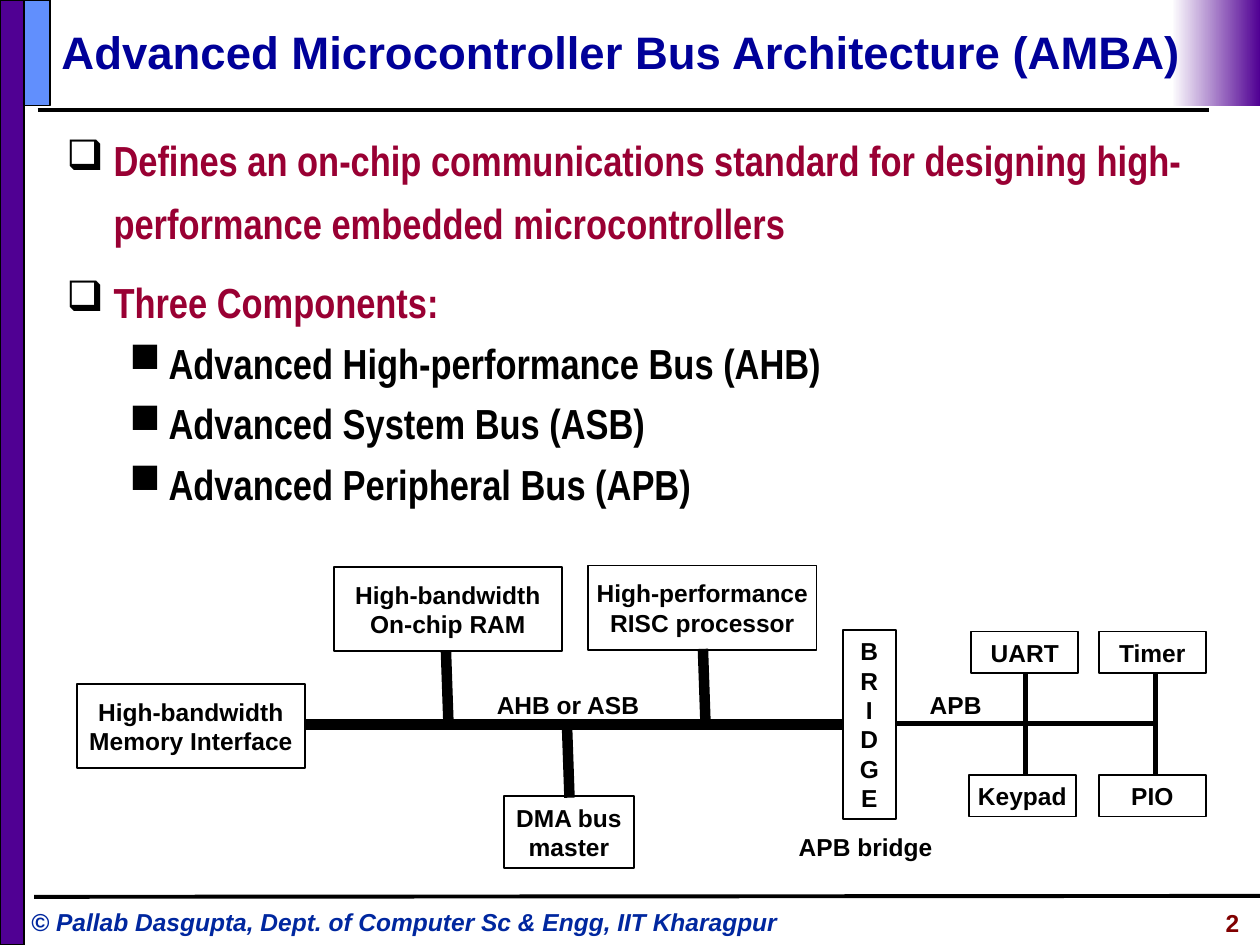
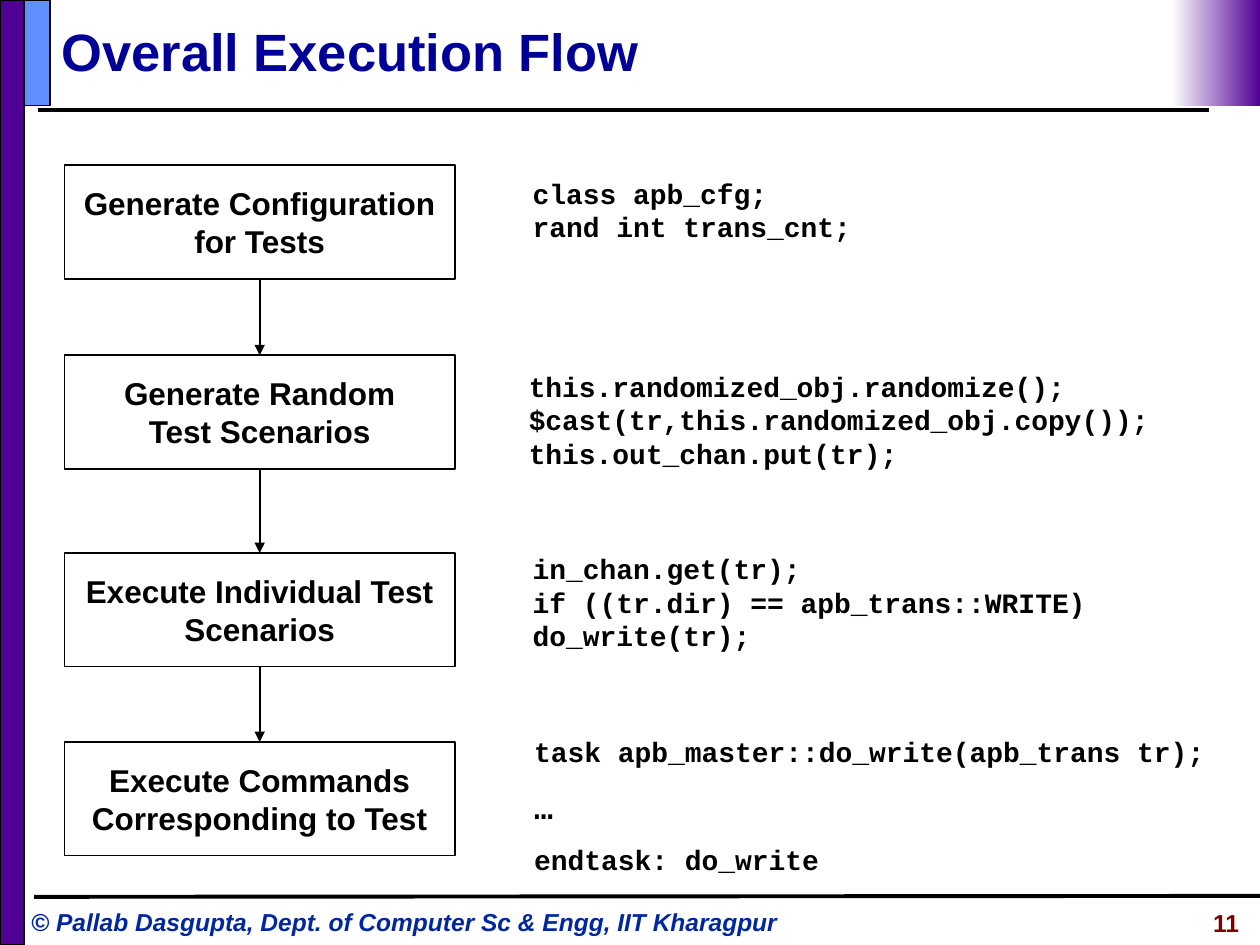
from dataclasses import dataclass

import lxml.etree
import pptx
import pptx.dml.color
import pptx.enum.shapes
import pptx.enum.text
import pptx.oxml.ns
import pptx.util

Cm = pptx.util.Cm
Pt = pptx.util.Pt
ALIGN = pptx.enum.text.PP_ALIGN
ANCHOR = pptx.enum.text.MSO_ANCHOR


@dataclass(frozen=True)
class Theme:
    black: str = "000000"
    white: str = "FFFFFF"
    purple: str = "500093"
    blue: str = "618FFD"
    title: str = "000099"
    topic: str = "990033"
    footer: str = "00279F"
    number: str = "800000"
    sans: str = "Arial"
    narrow: str = "Arial Narrow"
    mono: str = "Courier New"
    title_size: float = 30
    long_title_size: float = 26
    body_size: float = 24
    step_size: float = 18
    code_size: float = 16
    label_size: float = 14
    thin: float = 1
    rule: float = 2.25
    peripheral_bus: float = 3
    system_bus: float = 6


def rgb(value):
    return pptx.dml.color.RGBColor.from_string(value)


def add_xml(parent, tag, **attributes):
    return lxml.etree.SubElement(parent, pptx.oxml.ns.qn(tag), attributes)


class Deck:
    def __init__(self, theme):
        self.theme = theme
        self.presentation = pptx.Presentation()
        self.presentation.slide_width = Cm(25.4)
        self.presentation.slide_height = Cm(19.05)
        self.slide = None

    def start_slide(self, title, number, title_size):
        theme = self.theme
        layout = self.presentation.slide_layouts[6]
        self.slide = self.presentation.slides.add_slide(layout)
        self.line((0.76, 2.21), (24.38, 2.21), theme.rule)
        self.text(0.38, 18.16, 16.18, 0.86,
                  ["© Pallab Dasgupta, Dept. of Computer Sc & Engg, IIT Kharagpur"],
                  color=theme.footer, italic=True)
        self.box(0, 0, 0.48, 19.05, fill=theme.purple)
        self.line((0.69, 18.08), (25.4, 18.06), theme.rule)
        self.box(0.48, 0, 0.53, 2.13, fill=theme.blue)
        self.fade(23.62, 0, 1.78, 2.13)
        self.text(0.99, 0.25, 23.11, 1.55, [title], size=title_size,
                  color=theme.title, anchor=ANCHOR.MIDDLE)
        self.text(20.78, 18.19, 4.45, 0.89, [number], color=theme.number,
                  align=ALIGN.RIGHT)

    def style(self, paragraph, size=None, font=None, color=None, italic=False):
        paragraph.font.size = Pt(size or self.theme.label_size)
        paragraph.font.name = font or self.theme.sans
        paragraph.font.bold = True
        paragraph.font.italic = italic
        paragraph.font.color.rgb = rgb(color or self.theme.black)

    def paragraphs(self, frame, lines):
        for index, line in enumerate(lines):
            paragraph = frame.add_paragraph() if index else frame.paragraphs[0]
            paragraph.text = line
            yield paragraph

    def frame(self, left, top, width, height, wrap=True):
        frame = self.slide.shapes.add_textbox(
            Cm(left), Cm(top), Cm(width), Cm(height)).text_frame
        frame.word_wrap = wrap
        return frame

    def text(self, left, top, width, height, lines, align=ALIGN.LEFT,
             anchor=ANCHOR.TOP, wrap=True, **style):
        frame = self.frame(left, top, width, height, wrap)
        frame.vertical_anchor = anchor
        for paragraph in self.paragraphs(frame, lines):
            paragraph.alignment = align
            self.style(paragraph, **style)
        return frame

    def label(self, left, top, width, line):
        self.text(left, top, width, 0.86, [line], align=ALIGN.CENTER, wrap=False)

    def code(self, left, top, width, height, lines):
        return self.text(left, top, width, height, lines,
                         size=self.theme.code_size, font=self.theme.mono)

    def rectangle(self, left, top, width, height):
        shape = self.slide.shapes.add_shape(
            pptx.enum.shapes.MSO_SHAPE.RECTANGLE,
            Cm(left), Cm(top), Cm(width), Cm(height))
        shape.shadow.inherit = False
        return shape

    def box(self, left, top, width, height, lines=(), fill=None, size=None):
        shape = self.rectangle(left, top, width, height)
        if fill:
            shape.fill.solid()
            shape.fill.fore_color.rgb = rgb(fill)
        else:
            shape.fill.background()
        shape.line.color.rgb = rgb(self.theme.black)
        shape.line.width = Pt(self.theme.thin)
        shape.text_frame.word_wrap = False
        shape.text_frame.vertical_anchor = ANCHOR.MIDDLE
        for paragraph in self.paragraphs(shape.text_frame, lines):
            paragraph.alignment = ALIGN.CENTER
            self.style(paragraph, size=size)

    def fade(self, left, top, width, height):
        shape = self.rectangle(left, top, width, height)
        shape.line.fill.background()
        shape.fill.gradient()
        shape.fill.gradient_angle = 180
        ends = (self.theme.purple, self.theme.white)
        for position, (stop, color) in enumerate(zip(shape.fill.gradient_stops, ends)):
            stop.position = position
            stop.color.rgb = rgb(color)

    def line(self, start, end, width, arrow=False):
        connector = self.slide.shapes.add_connector(
            pptx.enum.shapes.MSO_CONNECTOR.STRAIGHT,
            *(Cm(value) for value in (*start, *end)))
        connector.line.color.rgb = rgb(self.theme.black)
        connector.line.width = Pt(width)
        if arrow:
            add_xml(connector.line._get_or_add_ln(), "a:tailEnd", type="triangle")
        add_xml(connector._element.spPr, "a:effectLst")

    def outline(self, left, top, width, height, items):
        theme = self.theme
        levels = (
            ("❑", 0.95, 0.95, 1.25, 9, theme.topic),
            ("■", 2.06, 0.79, 1.1, 3, theme.black),
        )
        frame = self.frame(left, top, width, height)
        lines = [line for _, line in items]
        for (level, _), paragraph in zip(items, self.paragraphs(frame, lines)):
            bullet, margin, hanging, spacing, before, color = levels[level]
            paragraph.level = level
            paragraph.line_spacing = spacing
            paragraph.space_before = Pt(before)
            properties = paragraph._p.get_or_add_pPr()
            properties.set("marL", str(Cm(margin)))
            properties.set("indent", str(-Cm(hanging)))
            add_xml(add_xml(properties, "a:buClr"), "a:srgbClr", val=theme.black)
            add_xml(properties, "a:buChar", char=bullet)
            self.style(paragraph, theme.body_size, theme.narrow, color)


def add_architecture(deck):
    theme = deck.theme
    deck.start_slide("Advanced Microcontroller Bus Architecture (AMBA)", "2",
                     theme.long_title_size)
    deck.outline(1.09, 2.34, 23.27, 8.08, [
        (0, "Defines an on-chip communications standard for designing "
            "high-performance embedded microcontrollers"),
        (0, "Three Components:"),
        (1, "Advanced High-performance Bus (AHB)"),
        (1, "Advanced System Bus (ASB)"),
        (1, "Advanced Peripheral Bus (APB)"),
    ])

    for left, top, lines in (
        (1.55, 13.79, ("High-bandwidth", "Memory Interface")),
        (6.73, 11.43, ("High-bandwidth", "On-chip RAM")),
        (11.86, 11.4, ("High-performance", "RISC processor")),
    ):
        deck.box(left, top, 4.6, 1.7, lines)
    deck.box(10.16, 16.05, 2.62, 1.45, ("DMA bus", "master"))
    deck.box(16.99, 12.7, 1.07, 3.81, "BRIDGE")
    for left, top, peripheral in (
        (19.58, 12.73, "UART"), (22.15, 12.73, "Timer"),
        (19.53, 15.62, "Keypad"), (22.15, 15.62, "PIO"),
    ):
        deck.box(left, top, 2.16, 0.84, [peripheral])

    deck.line((6.15, 14.6), (16.99, 14.6), theme.system_bus)
    for left, top in ((8.99, 13.13), (14.17, 13.08), (11.43, 14.63)):
        deck.line((left, top), (left + 0.05, top + 1.45), theme.system_bus)
    for left in (20.68, 23.29):
        deck.line((left, 13.59), (left, 15.62), theme.peripheral_bus)
    deck.line((18.06, 14.58), (23.29, 14.58), theme.peripheral_bus)

    deck.label(9.75, 13.79, 3.4, "AHB or ASB")
    deck.label(18.49, 13.79, 1.55, "APB")
    deck.label(15.85, 16.64, 3.2, "APB bridge")


def add_execution_flow(deck):
    theme = deck.theme
    deck.start_slide("Overall Execution Flow", "11", theme.title_size)
    step_left, step_width, step_height = 1.3, 7.87, 2.29
    steps = (
        (3.33, ("Generate Configuration", "for Tests")),
        (7.16, ("Generate Random", "Test Scenarios")),
        (11.15, ("Execute Individual Test", "Scenarios")),
        (14.96, ("Execute Commands", "Corresponding to Test")),
    )
    for top, lines in steps:
        deck.box(step_left, top, step_width, step_height, lines,
                 fill=theme.white, size=theme.step_size)
    center = step_left + step_width / 2
    for (top, _), (next_top, _) in zip(steps, steps[1:]):
        deck.line((center, top + step_height), (center, next_top),
                  theme.thin, arrow=True)

    deck.code(10.49, 3.43, 11.46, 1.63, ["class apb_cfg;", "rand int trans_cnt;"])
    deck.code(10.41, 7.32, 14.68, 2.29, [
        "this.randomized_obj.randomize();",
        "$cast(tr,this.randomized_obj.copy());",
        "this.out_chan.put(tr);",
    ])
    deck.code(10.49, 11, 13.51, 2.29, [
        "in_chan.get(tr);",
        "if ((tr.dir) == apb_trans::WRITE)",
        "do_write(tr);",
    ])
    task = deck.code(10.52, 14.68, 14.45, 3.12, [
        "task apb_master::do_write(apb_trans tr);",
        "…",
        "endtask: do_write",
    ])
    for paragraph, before in zip(task.paragraphs, (10, 11.2, 10)):
        paragraph.space_before = Pt(before)
    task.paragraphs[1].font.size = Pt(theme.step_size)


def main():
    deck = Deck(Theme())
    add_architecture(deck)
    add_execution_flow(deck)
    deck.presentation.save("out.pptx")


if __name__ == "__main__":
    main()
